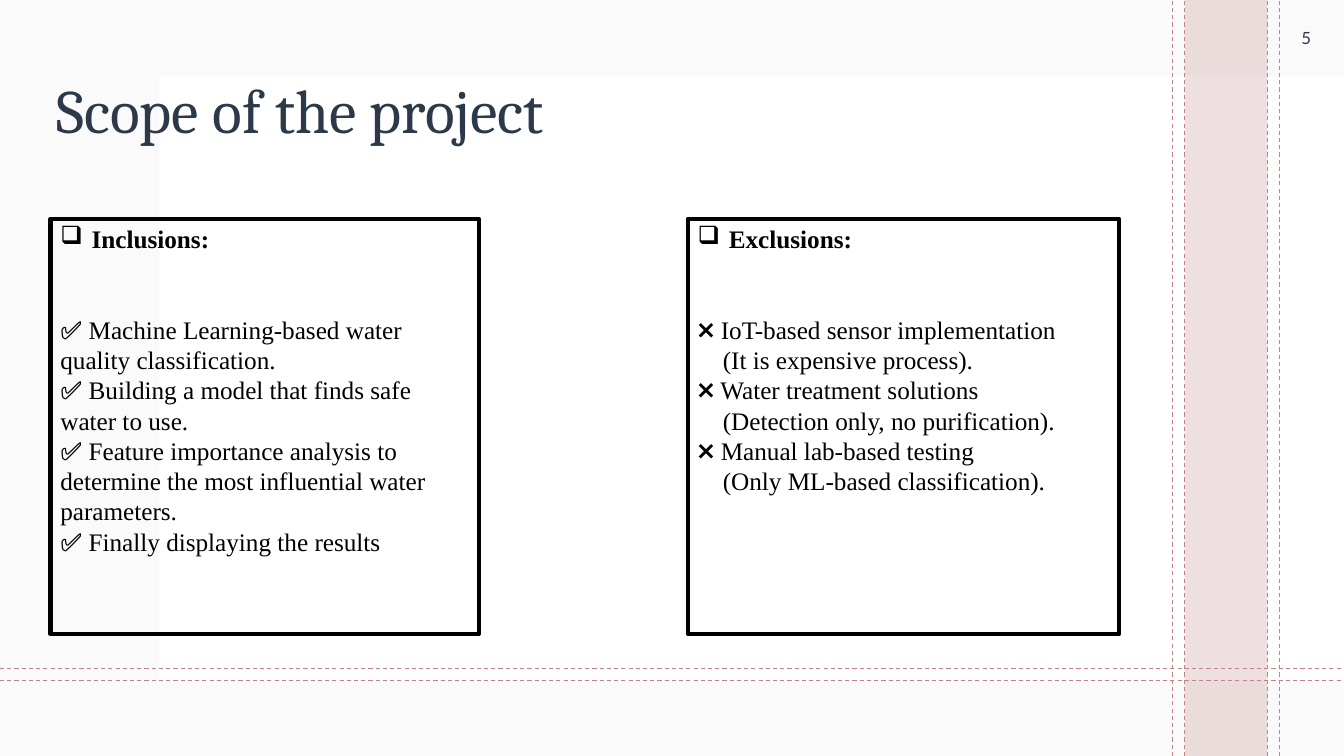
"""Build the project scope slide: inclusions beside exclusions."""
from lxml.etree import SubElement
from pptx import Presentation
from pptx.dml.color import RGBColor
from pptx.enum.dml import MSO_LINE
from pptx.enum.shapes import MSO_CONNECTOR, MSO_SHAPE
from pptx.enum.text import MSO_ANCHOR, PP_ALIGN
from pptx.oxml.ns import qn
from pptx.util import Inches, Pt

WIDTH, HEIGHT = 13.33, 7.5
WHITE = RGBColor(0xFF, 0xFF, 0xFF)
BLACK = RGBColor(0, 0, 0)
PALE = RGBColor(0xF4, 0xF4, 0xF4)
ROSE = RGBColor(0xBF, 0x84, 0x84)
CORAL = RGBColor(0xF4, 0x9D, 0x90)
NAVY = RGBColor(0x2C, 0x39, 0x48)

TITLE = "Scope of the project"
PAGE_NUMBER = "5"
PANELS = [
    (0.5, 4.25, "Inclusions:", [
        ("✅ Machine Learning-based water quality classification.", None),
        ("✅ Building a model that finds safe water to use.", None),
        ("✅ Feature importance analysis to determine the most influential water parameters.", None),
        ("✅ Finally displaying the results", None),
    ]),
    (6.82, 4.28, "Exclusions:", [
        ("❌ IoT-based sensor implementation", "(It is expensive process)."),
        ("❌ Water treatment solutions", "(Detection only, no purification)."),
        ("❌ Manual lab-based testing", "(Only ML-based classification)."),
    ]),
]
PANEL_TOP, PANEL_HEIGHT = 2.17, 4.12
BAND_LEFT, BAND_RIGHT, FOOTER_TOP, GUIDE_GAP = 11.75, 12.57, 6.75, 0.12
CORNER = HEIGHT / 10


def add_rectangle(slide, left, top, width, height, color=None, opacity=100):
    shape = slide.shapes.add_shape(
        MSO_SHAPE.RECTANGLE, Inches(left), Inches(top), Inches(width), Inches(height))
    shape.shadow.inherit = False
    shape.line.fill.background()
    if color is None:
        shape.fill.background()
        return shape
    shape.fill.solid()
    shape.fill.fore_color.rgb = color
    if opacity < 100:
        color_element = shape.fill._xPr.find(qn("a:solidFill"))[0]
        SubElement(color_element, qn("a:alpha")).set("val", str(opacity * 1000))
    return shape


def add_guide(slide, color, x=None, y=None):
    ends = (x, HEIGHT, x, 0) if y is None else (0, y, WIDTH, y)
    guide = slide.shapes.add_connector(MSO_CONNECTOR.STRAIGHT, *map(Inches, ends))
    guide.line.color.rgb = color
    guide.line.width = Pt(0.75)
    guide.line.dash_style = MSO_LINE.DASH
    SubElement(guide._element.spPr, qn("a:effectLst"))


def add_background(slide):
    add_rectangle(slide, 0, 0, WIDTH, HEIGHT, PALE, 45)
    add_rectangle(slide, 1.58, CORNER, WIDTH - 1.58, FOOTER_TOP - CORNER, WHITE)
    add_guide(slide, CORAL, x=BAND_RIGHT)
    add_guide(slide, CORAL, y=FOOTER_TOP)
    add_rectangle(slide, BAND_LEFT, 0, BAND_RIGHT - BAND_LEFT, HEIGHT, ROSE, 25)
    for x in (BAND_RIGHT, BAND_RIGHT + GUIDE_GAP, BAND_LEFT, BAND_LEFT - GUIDE_GAP):
        add_guide(slide, ROSE, x=x)
    for y in (FOOTER_TOP, FOOTER_TOP - GUIDE_GAP):
        add_guide(slide, ROSE, y=y)


def format_text(paragraph, text, font_name, size, color, alignment=PP_ALIGN.LEFT, bold=False):
    paragraph.text = text
    paragraph.alignment = alignment
    font = paragraph.font
    font.name, font.size, font.bold = font_name, Pt(size), bold
    font.color.rgb = color


def indent(paragraph, left, first=0.0):
    properties = paragraph._p.get_or_add_pPr()
    properties.set("marL", str(Inches(left)))
    properties.set("indent", str(Inches(first)))
    return properties


def add_panel(slide, left, width, heading, items):
    panel = add_rectangle(slide, left, PANEL_TOP, width, PANEL_HEIGHT)
    panel.line.color.rgb = BLACK
    panel.line.width = Pt(3)
    frame = panel.text_frame
    frame.word_wrap = True
    frame.vertical_anchor = MSO_ANCHOR.TOP
    title = frame.paragraphs[0]
    SubElement(indent(title, 0.31, -0.31), qn("a:buChar")).set("char", "❑")
    format_text(title, heading, "Times New Roman", 18, BLACK, bold=True)
    for index, (item, detail) in enumerate(items):
        paragraph = frame.add_paragraph()
        if index == 0:
            paragraph.space_before = Pt(43)
        format_text(paragraph, item, "Times New Roman", 18, BLACK)
        if detail:
            paragraph = frame.add_paragraph()
            indent(paragraph, 0.25)
            format_text(paragraph, detail, "Times New Roman", 18, BLACK)


def main():
    presentation = Presentation()
    presentation.slide_width, presentation.slide_height = Inches(WIDTH), Inches(HEIGHT)
    slide = presentation.slides.add_slide(presentation.slide_layouts[5])
    add_background(slide)

    title = slide.shapes.title
    title.left, title.top = Inches(0.46), Inches(0.4)
    title.width, title.height = Inches(10.64), Inches(1.45)
    title.text_frame.vertical_anchor = MSO_ANCHOR.MIDDLE
    heading = title.text_frame.paragraphs[0]
    format_text(heading, TITLE, "Cambria", 44, NAVY)
    heading.line_spacing = 0.9
    slide.shapes._spTree.append(title._element)

    number = slide.shapes.add_textbox(
        Inches(WIDTH - CORNER), 0, Inches(CORNER), Inches(CORNER))
    number.text_frame.word_wrap = True
    number.text_frame.vertical_anchor = MSO_ANCHOR.MIDDLE
    format_text(number.text_frame.paragraphs[0], PAGE_NUMBER, "Lato", 12, NAVY, PP_ALIGN.CENTER)

    for panel in PANELS:
        add_panel(slide, *panel)
    presentation.save("out.pptx")


if __name__ == "__main__":
    main()
